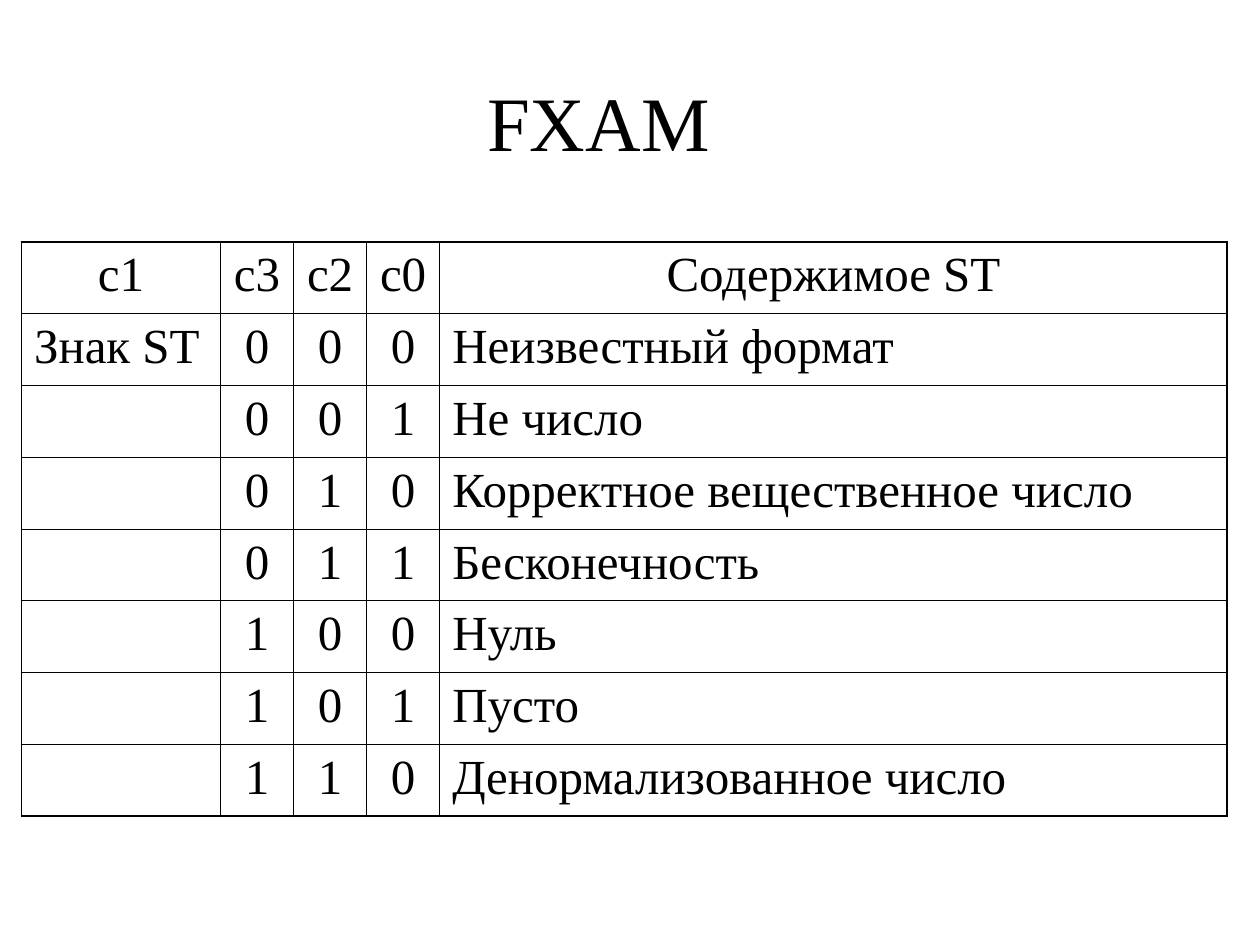
"""Build the FXAM slide: a table of condition codes and the ST contents they report."""
import pptx
import pptx.dml.color
import pptx.enum.text
import pptx.oxml.ns
import pptx.util
from lxml import etree

Inches = pptx.util.Inches
Pt = pptx.util.Pt
ALIGN = pptx.enum.text.PP_ALIGN
ANCHOR = pptx.enum.text.MSO_ANCHOR

TITLE = "FXAM"
HEADER = ("c1", "c3", "c2", "c0", "Содержимое ST")
SIGN = "Знак ST"
CONTENTS = (
    ("000", "Неизвестный формат"),
    ("001", "Не число"),
    ("010", "Корректное вещественное число"),
    ("011", "Бесконечность"),
    ("100", "Нуль"),
    ("101", "Пусто"),
    ("110", "Денормализованное число"),
)
COLUMN_WIDTHS = (1.58, 0.58, 0.58, 0.58, 6.25)
ROW_HEIGHT = 0.57
FONT = "Times New Roman"
INK = "000000"
OUTER_LINE, INNER_LINE = 1.08, 0.45


def color(hex_text):
    return pptx.dml.color.RGBColor.from_string(hex_text)


def format_paragraph(paragraph, size, align):
    paragraph.alignment = align
    paragraph.font.name = FONT
    paragraph.font.size = Pt(size)
    paragraph.font.color.rgb = color(INK)


def add_border(cell, side, width):
    properties = cell._tc.get_or_add_tcPr()
    line = etree.SubElement(properties, pptx.oxml.ns.qn(f"a:ln{side}"), w=str(Pt(width)))
    fill = etree.SubElement(line, pptx.oxml.ns.qn("a:solidFill"))
    etree.SubElement(fill, pptx.oxml.ns.qn("a:srgbClr"), val=INK)


def add_title(slide):
    title = slide.shapes.title
    title.left, title.top = Inches(0.5), Inches(0.33)
    title.width, title.height = Inches(8.5), Inches(1.25)
    title.text_frame.text = TITLE
    title.text_frame.vertical_anchor = ANCHOR.MIDDLE
    format_paragraph(title.text_frame.paragraphs[0], 44, ALIGN.CENTER)


def add_codes_table(slide):
    rows = [HEADER] + [
        (SIGN if index == 0 else "", *bits, meaning)
        for index, (bits, meaning) in enumerate(CONTENTS)
    ]
    last_row, last_column = len(rows) - 1, len(HEADER) - 1
    codes = slide.shapes.add_table(
        len(rows), len(HEADER), Inches(0.17), Inches(1.92),
        Inches(sum(COLUMN_WIDTHS)), Inches(ROW_HEIGHT * len(rows)),
    ).table
    codes.first_row = codes.horz_banding = False
    for column, width in zip(codes.columns, COLUMN_WIDTHS):
        column.width = Inches(width)
    for r, row in enumerate(rows):
        codes.rows[r].height = Inches(ROW_HEIGHT)
        for c, text in enumerate(row):
            cell = codes.cell(r, c)
            edges = {"L": c == 0, "R": c == last_column, "T": r == 0, "B": r == last_row}
            for side, is_outer in edges.items():
                add_border(cell, side, OUTER_LINE if is_outer else INNER_LINE)
            cell.fill.background()
            cell.text = text
            centred = r == 0 or 0 < c < last_column
            paragraph = cell.text_frame.paragraphs[0]
            format_paragraph(paragraph, 28, ALIGN.CENTER if centred else ALIGN.LEFT)
            paragraph.space_before = Pt(7)


def main():
    presentation = pptx.Presentation()
    presentation.slide_width, presentation.slide_height = Inches(10), Inches(7.5)
    slide = presentation.slides.add_slide(presentation.slide_layouts[5])
    add_title(slide)
    add_codes_table(slide)
    presentation.save("out.pptx")


if __name__ == "__main__":
    main()
